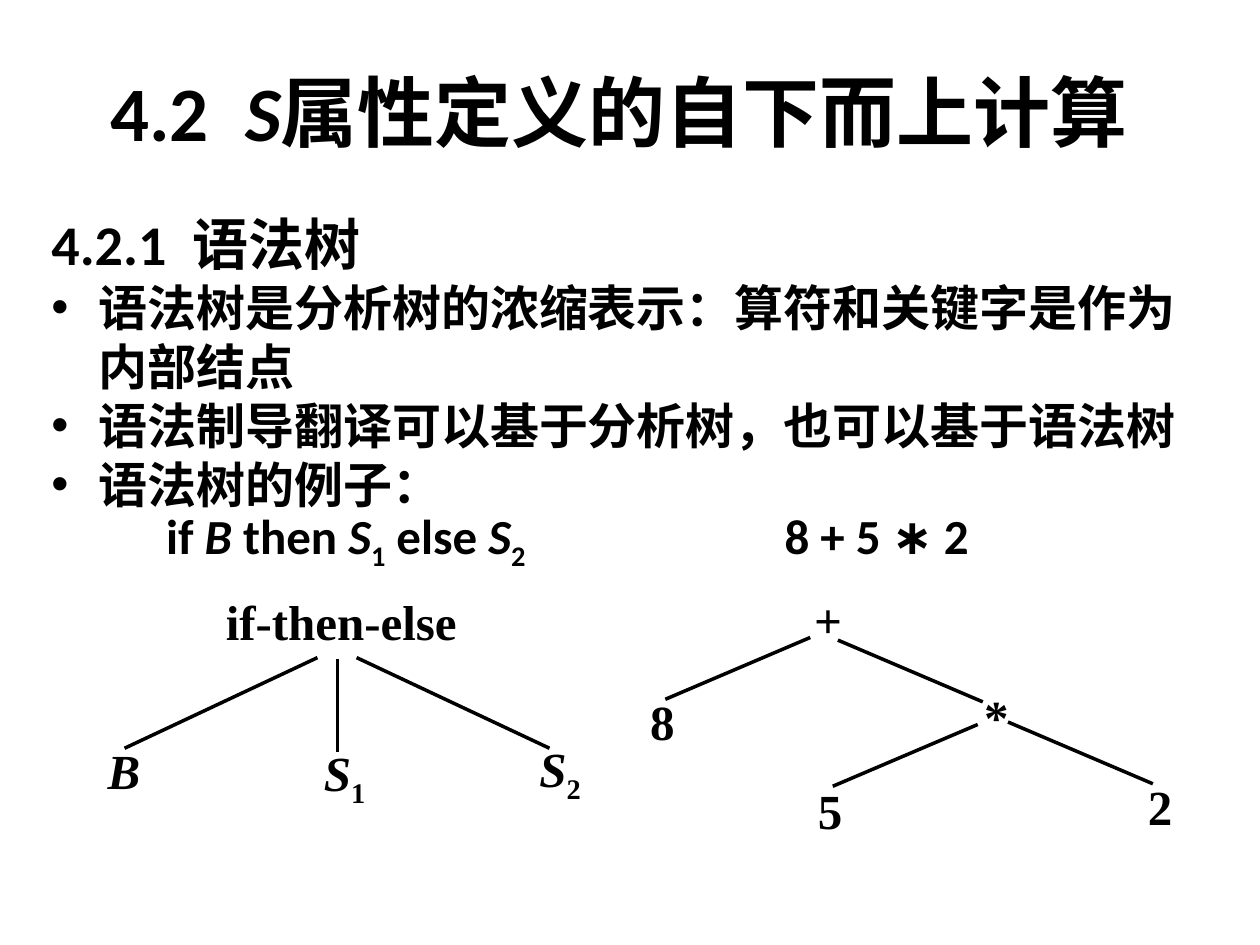
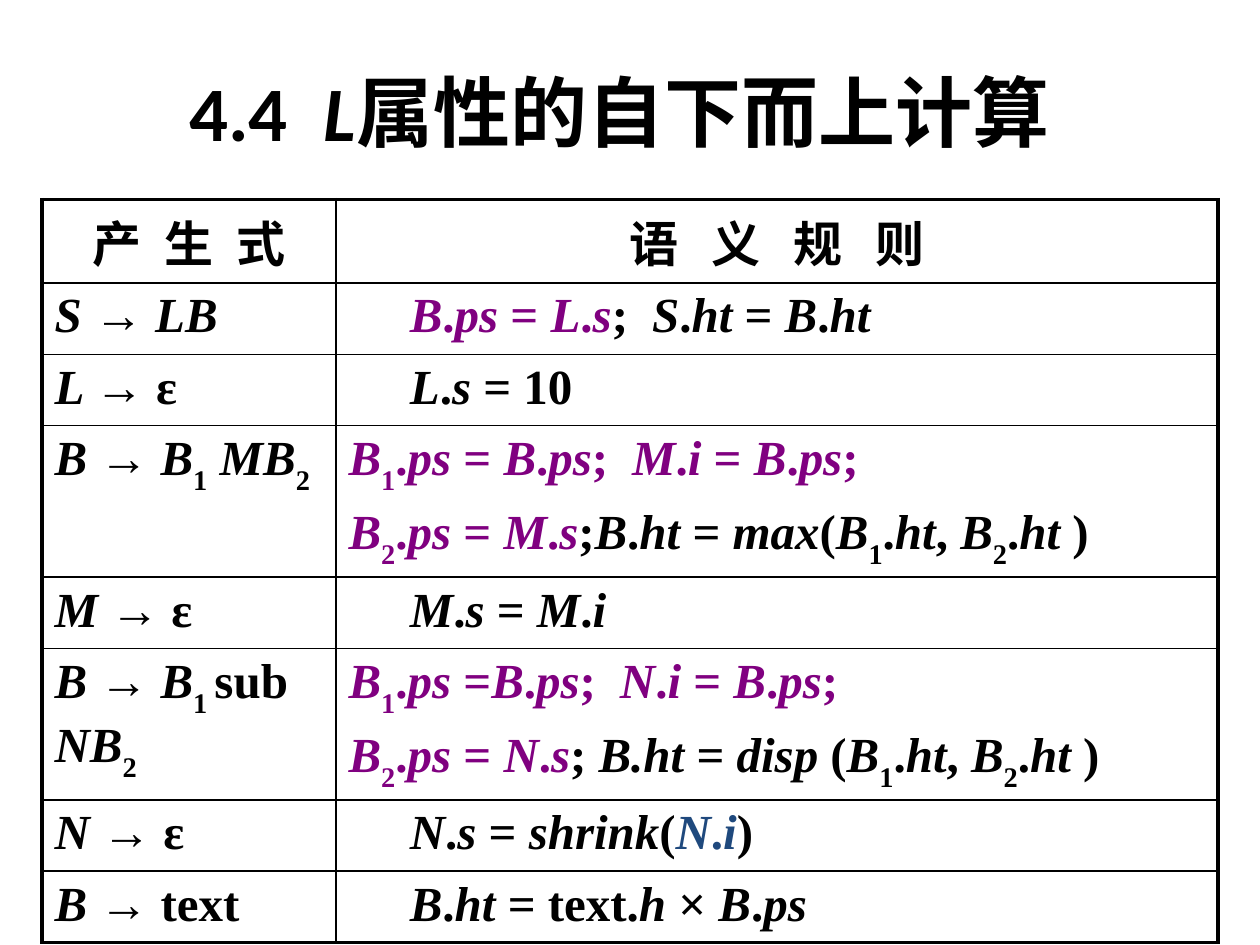
from dataclasses import dataclass

from lxml import etree
from pptx import Presentation
from pptx.dml.color import RGBColor
from pptx.enum.shapes import MSO_CONNECTOR
from pptx.enum.text import MSO_ANCHOR, PP_ALIGN
from pptx.oxml.ns import qn
from pptx.util import Pt


@dataclass(frozen=True)
class Theme:
    black: RGBColor = RGBColor(0x00, 0x00, 0x00)
    purple: RGBColor = RGBColor(0x80, 0x00, 0x80)
    blue: RGBColor = RGBColor(0x1F, 0x49, 0x7D)
    sans: str = "Calibri"
    serif: str = "Times New Roman"
    cjk: str = "Noto Sans CJK SC"
    title: int = 44
    heading: int = 32
    body: int = 28
    inner_line: float = 1
    outer_line: float = 2.25
    tree_line: float = 2


MARKS = {"/": "italic", "_": "sub", "^": "purple", "~": "blue", "|": "wide"}


def parse(text):
    on, part = set(), ""
    for ch in text:
        if ch not in MARKS:
            part += ch
            continue
        if part:
            yield part, frozenset(on)
        part = ""
        on ^= {MARKS[ch]}
    if part:
        yield part, frozenset(on)


def apply(target, **fmt):
    for name, value in fmt.items():
        setattr(target, name, value)


class Deck:
    def __init__(self, theme):
        self.t = theme
        self.prs = Presentation()
        apply(self.prs, slide_width=Pt(720), slide_height=Pt(540))
        self.s = None

    def slide(self, title):
        self.s = self.prs.slides.add_slide(self.prs.slide_layouts[5])
        sp = self.s.shapes.title
        apply(sp, left=Pt(24), top=Pt(18), width=Pt(660), height=Pt(90))
        apply(sp.text_frame, word_wrap=True, vertical_anchor=MSO_ANCHOR.MIDDLE)
        p = sp.text_frame.paragraphs[0]
        p.alignment = PP_ALIGN.CENTER
        self.runs(p, title, self.t.title, self.t.sans)

    def runs(self, p, text, size, font, sub=-25, tracking=0):
        for part, marks in parse(text):
            r = p.add_run()
            r.text = part
            apply(r.font, name=font, size=Pt(size), bold=True, italic="italic" in marks)
            color = next((c for c in ("purple", "blue") if c in marks), "black")
            r.font.color.rgb = getattr(self.t, color)
            rPr = r.font._element
            etree.SubElement(rPr, qn("a:ea")).set("typeface", self.t.cjk)
            if "sub" in marks:
                rPr.set("baseline", str(sub * 1000))
            spacing = size * 0.24 if "wide" in marks else tracking
            if spacing:
                rPr.set("spc", str(round(spacing * 100)))

    def textbox(self, x, y, w, h, **fmt):
        tf = self.s.shapes.add_textbox(Pt(x), Pt(y), Pt(w), Pt(h)).text_frame
        apply(tf, word_wrap=True, **fmt)
        return tf

    def outline(self, x, y, w, h, lines):
        tf = self.textbox(x, y, w, h)
        for i, (text, size, height, bullet, tabs) in enumerate(lines):
            p = tf.add_paragraph() if i else tf.paragraphs[0]
            p.line_spacing = Pt(height)
            pPr = p._p.get_or_add_pPr()
            if bullet:
                pPr.set("marL", str(Pt(27)))
                pPr.set("indent", str(-Pt(27)))
                etree.SubElement(pPr, qn("a:buFont")).set("typeface", "Arial")
                etree.SubElement(pPr, qn("a:buChar")).set("char", "•")
            if tabs:
                stops = etree.SubElement(pPr, qn("a:tabLst"))
                for pos in tabs:
                    tab = etree.SubElement(stops, qn("a:tab"))
                    tab.set("pos", str(Pt(pos)))
                    tab.set("algn", "l")
            self.runs(p, text, size, self.t.sans)

    def node(self, text, x, y, w=35):
        tf = self.textbox(x, y, w, 37, margin_left=Pt(1.5), margin_right=Pt(1.5),
                          margin_top=Pt(0.7), margin_bottom=Pt(0.7))
        self.runs(tf.paragraphs[0], text, self.t.body, self.t.serif)

    def edge(self, x, y, dx, dy):
        sp = self.s.shapes.add_connector(
            MSO_CONNECTOR.STRAIGHT, Pt(x), Pt(y), Pt(x + dx), Pt(y + dy))
        sp.line.color.rgb = self.t.black
        sp.line.width = Pt(self.t.tree_line)
        etree.SubElement(sp._element.spPr, qn("a:effectLst"))

    def border(self, cell, side, width):
        ln = etree.SubElement(cell._tc.get_or_add_tcPr(), qn("a:ln" + side))
        ln.set("w", str(Pt(width)))
        fill = etree.SubElement(ln, qn("a:solidFill"))
        etree.SubElement(fill, qn("a:srgbClr")).set("val", str(self.t.black))

    def table(self, x, y, widths, header, rows, row_height, tall_height):
        n = len(rows) + 1
        tbl = self.s.shapes.add_table(
            n, len(widths), Pt(x), Pt(y), Pt(sum(widths)), Pt(n * row_height)).table
        apply(tbl, first_row=False, horz_banding=False)
        for col, w in zip(tbl.columns, widths):
            col.width = Pt(w)
        for i, row in enumerate(tbl.rows):
            tall = i and len(rows[i - 1][1]) > 1
            row.height = Pt(tall_height if tall else row_height)
            for j, cell in enumerate(row.cells):
                edges = {"L": j == 0, "R": j == len(widths) - 1, "T": i == 0, "B": i == n - 1}
                for side, outer in edges.items():
                    self.border(cell, side, self.t.outer_line if outer else self.t.inner_line)
                cell.fill.background()
                if i == 0:
                    text, tracking = header[j]
                    p = cell.text_frame.paragraphs[0]
                    p.alignment = PP_ALIGN.CENTER
                    self.runs(p, text, self.t.body, self.t.cjk, tracking=tracking)
                else:
                    self.cell_lines(cell, rows[i - 1][j], indent=j == 1 and not tall)

    def cell_lines(self, cell, lines, indent):
        for k, text in enumerate(lines):
            p = cell.text_frame.add_paragraph() if k else cell.text_frame.paragraphs[0]
            if k:
                p.space_before = Pt(5.6)
            if indent:
                p._p.get_or_add_pPr().set("marL", str(Pt(35)))
            self.runs(p, text, self.t.body, self.t.serif, sub=-30)


def syntax_trees(d):
    t = d.t
    d.slide("4.2| |/S/属性定义的自下而上计算")
    bullets = ["语法树是分析树的浓缩表示：算符和关键字是作为内部结点",
               "语法制导翻译可以基于分析树，也可以基于语法树",
               "语法树的例子："]
    d.outline(22.3, 115.6, 675, 394, [
        ("4.2.1| |语法树", t.heading, 39, False, ()),
        *((text, t.body, 33.8, True, ()) for text in bullets),
        ("\tif /B/ then /S/_1_ else /S/_2_\t8 + 5 ∗ 2", t.body, 33.8, False, (65.5, 419)),
    ])

    d.node("if-then-else", 127.5, 337, 142)
    for text, x, y in [("/B/", 60, 422.6), ("/S/_1_", 183.6, 423.4), ("/S/_2_", 306.7, 421.2),
                       ("+", 463.7, 336.2), ("8", 370, 394.6), ("*", 560.9, 391.7),
                       ("5", 465.8, 445), ("2", 654.5, 442.8)]:
        d.node(text, x, y)

    for side in (-1, 1):
        d.edge(192.6 + side * 11.2, 375.8, side * 110.2, 51.8)
    d.edge(192.8, 376.6, 0, 53.2)
    for x, y, side in [(463, 364.3, -1), (478.8, 365.8, 1), (558.7, 414, -1), (576, 412.6, 1)]:
        d.edge(x, y, side * 82.8, 35.3)


def semantic_rules(d):
    d.slide("4.4| |/L/属性的自下而上计算")
    rows = [
        (["/S /→/ LB/"], ["^/B/./ps/ = /L/./s/^;| |/S/./ht/ = /B/./ht/"]),
        (["/L /→ ε"], ["/L/./s /= 10"]),
        (["/B /→/ B/_1_/ MB/_2_"],
         ["^/B/_1_./ps/ = /B/./ps/;| |/M/./i/ = /B/./ps/;^",
          "^/B/_2_./ps/ = /M/./s/^;/B/./ht/ = /max/(/B/_1_./ht/, /B/_2_./ht /)"]),
        (["/M /→ ε"], ["/M/./s /= /M/./i/"]),
        (["/B /→/ B/_1 _sub/ NB/_2_"],
         ["^/B/_1_./ps/ =/B/./ps/;| |/N/./i/ = /B/./ps/;^",
          "^/B/_2_./ps/ = /N/./s/^; /B.ht/ = /disp/ (/B/_1_./ht/, /B/_2_./ht /)"]),
        (["/N /→ ε"], ["/N/./s /= /shrink/(~/N/./i/~)"]),
        (["/B /→ text"], ["/B/./ht/ = text./h /×/ B/./ps/"]),
    ]
    header = [("产 生 式", 3.4), ("语 义 规 则", 6.3)]
    d.table(24, 114, (168, 504), header, rows, row_height=40.8, tall_height=81.5)


def main():
    d = Deck(Theme())
    syntax_trees(d)
    semantic_rules(d)
    d.prs.save("out.pptx")


if __name__ == "__main__":
    main()
